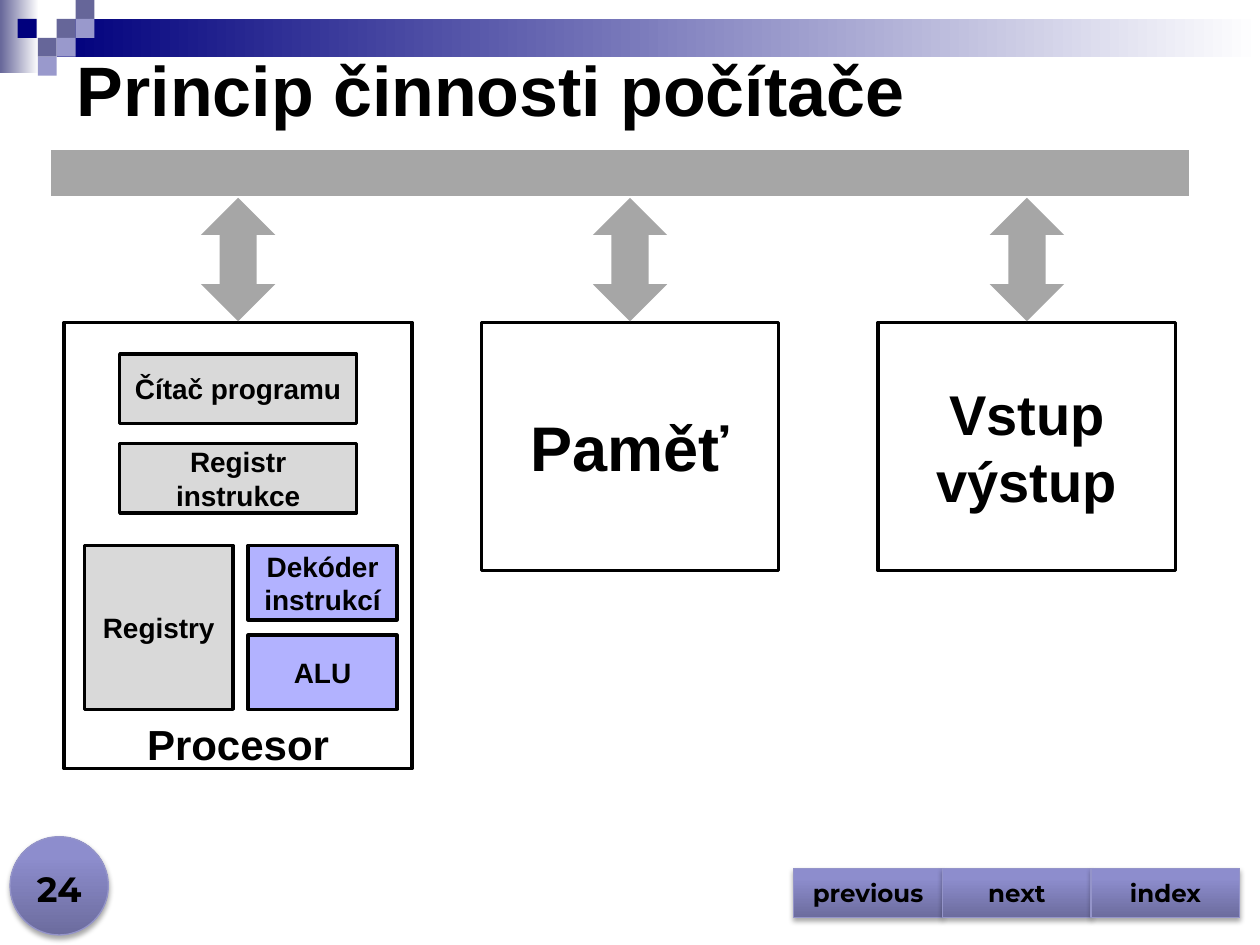
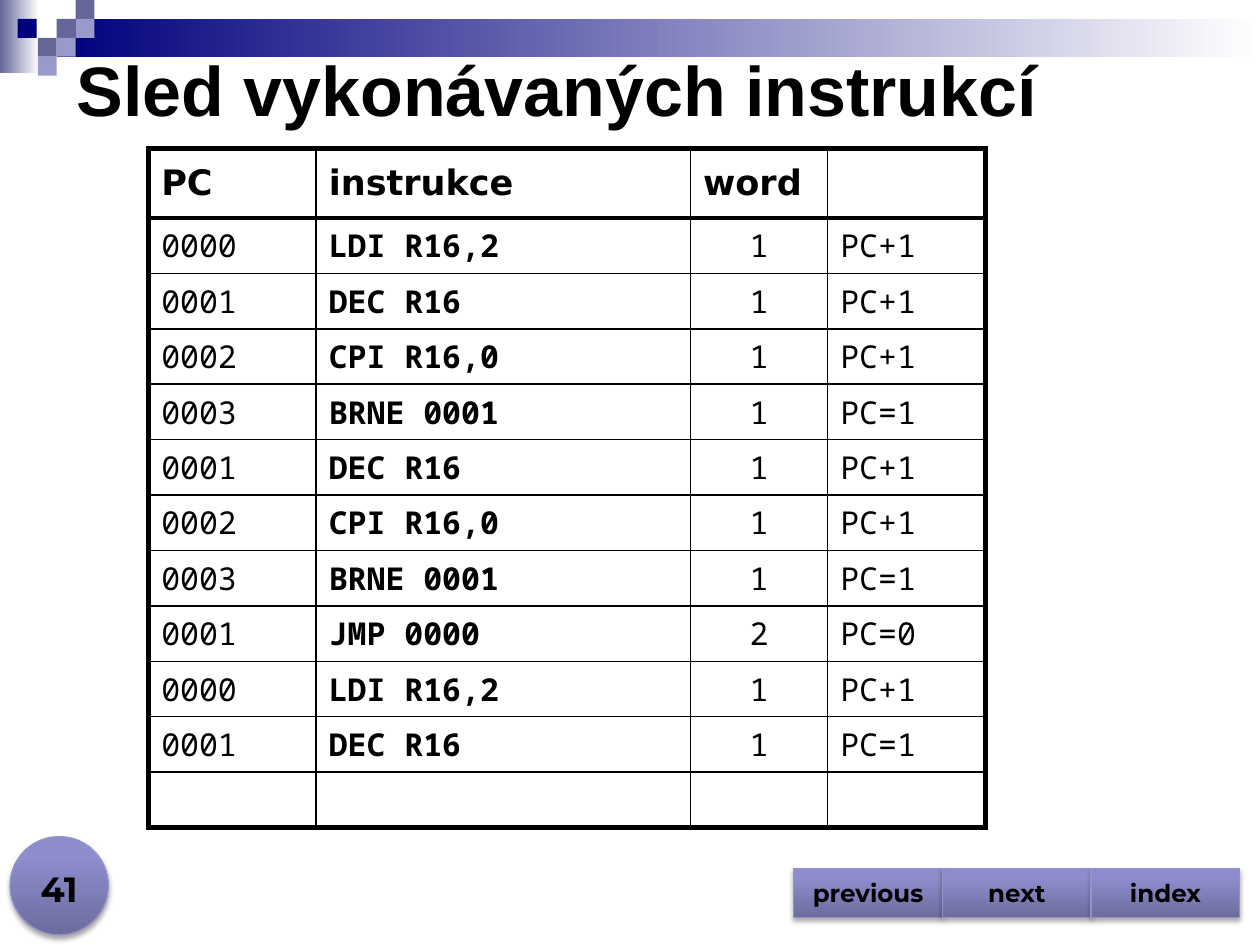
from pptx import Presentation
from pptx.dml.color import RGBColor
from pptx.enum.shapes import MSO_SHAPE
from pptx.enum.text import MSO_ANCHOR, MSO_AUTO_SIZE, PP_ALIGN
from pptx.oxml import parse_xml
from pptx.oxml.ns import nsdecls
from pptx.util import Inches, Pt

# ---- Content ----
BUS_TITLE, BUS_PAGE = "Princip činnosti počítače", "24"
TRACE_TITLE, TRACE_PAGE = "Sled vykonávaných instrukcí", "41"
BUTTONS = ["previous", "next", "index"]

# text, left, width, height, size, anchor
BLOCKS = [
    ("Procesor", 0.51, 2.76, 3.54, 24, MSO_ANCHOR.BOTTOM),
    ("Paměť", 3.82, 2.36, 1.97, 36, MSO_ANCHOR.MIDDLE),
    ("Vstup výstup", 6.97, 2.36, 1.97, 32, MSO_ANCHOR.MIDDLE),
]
STORAGE, LOGIC = "D9D9D9", "B2B2FF"
# text, left, top, width, height, fill
CPU_PARTS = [
    ("Čítač programu", 0.95, 2.81, 1.88, 0.55, STORAGE),
    ("Registr instrukce", 0.95, 3.52, 1.88, 0.55, STORAGE),
    ("Registry", 0.67, 4.33, 1.18, 1.3, STORAGE),
    ("Dekóder instrukcí", 1.97, 4.33, 1.18, 0.59, LOGIC),
    ("ALU", 1.97, 5.04, 1.18, 0.59, LOGIC),
]

TRACE = [
    ("PC", "instrukce", "word", ""),
    ("0000", "LDI R16,2", "1", "PC+1"),
    ("0001", "DEC R16", "1", "PC+1"),
    ("0002", "CPI R16,0", "1", "PC+1"),
    ("0003", "BRNE 0001", "1", "PC=1"),
    ("0001", "DEC R16", "1", "PC+1"),
    ("0002", "CPI R16,0", "1", "PC+1"),
    ("0003", "BRNE 0001", "1", "PC=1"),
    ("0001", "JMP 0000", "2", "PC=0"),
    ("0000", "LDI R16,2", "1", "PC+1"),
    ("0001", "DEC R16", "1", "PC=1"),
    ("", "", "", ""),
]
COL_WIDTHS = [1.33, 2.97, 1.09, 1.25]
HEADER_HEIGHT, ROW_HEIGHT = 0.55, 0.44

# ---- Shared look ----
BLACK, WHITE, GREY = "000000", "FFFFFF", "A6A6A6"
NAVY, SLATE, LILAC = "00007D", "666699", "9999CC"
GLOSS = [(0, "6C6C9E"), (80, "8D8DCD"), (100, "8C8CCF")]
GLOSS_LINE = "9494C9"
SQUARE = 0.15
# left, top, colour
SQUARES = [
    (0.45, 0.15, SLATE), (0.6, 0, SLATE), (0.6, 0.15, LILAC), (0.3, 0.3, SLATE),
    (0.14, 0.15, NAVY), (0.45, 0.3, LILAC), (0.3, 0.45, LILAC),
]


def rgb(code):
    return RGBColor.from_string(code)


def write(tf, text, size, font="Arial", bold=True, align=PP_ALIGN.CENTER,
          anchor=MSO_ANCHOR.MIDDLE):
    tf.vertical_anchor = anchor
    p = tf.paragraphs[0]
    p.alignment = align
    r = p.add_run()
    r.text = text
    r.font.size, r.font.name, r.font.bold = Pt(size), font, bold
    r.font.color.rgb = rgb(BLACK)


def add_box(s, kind, box, fill, line=None, width=2):
    """Preset shape; fill is a colour, or (gradient stops, angle)."""
    sp = s.shapes.add_shape(kind, *map(Inches, box))
    sp.shadow.inherit = False
    sp.fill.solid()
    if isinstance(fill, str):
        sp.fill.fore_color.rgb = rgb(fill)
    else:
        stops, angle = fill
        gs = "".join(f'<a:gs pos="{pos * 1000}"><a:srgbClr val="{c}"/></a:gs>'
                     for pos, c in stops)
        spPr = sp.element.spPr
        spPr.replace(spPr.find("{*}solidFill"), parse_xml(
            f'<a:gradFill {nsdecls("a")} rotWithShape="1"><a:gsLst>{gs}</a:gsLst>'
            f'<a:lin ang="{angle * 60000}" scaled="0"/></a:gradFill>'))
    if line:
        sp.line.color.rgb = rgb(line)
        sp.line.width = Pt(width)
    else:
        sp.line.fill.background()
    return sp


def add_glossy(s, kind, box):
    sp = add_box(s, kind, box, (GLOSS, 270), GLOSS_LINE, 0.75)
    sp.element.spPr.find("{*}effectLst").append(parse_xml(
        f'<a:outerShdw {nsdecls("a")} blurRad="{Pt(3.1)}" dist="{Pt(1.8)}" '
        'dir="5400000" rotWithShape="0"><a:srgbClr val="000000">'
        '<a:alpha val="35000"/></a:srgbClr></a:outerShdw>'))
    return sp


def add_slide(prs, title, page):
    s = prs.slides.add_slide(prs.slide_layouts[5])

    # Top band and squares
    add_box(s, MSO_SHAPE.RECTANGLE, (0, 0, 0.31, 0.58),
            ([(0, SLATE), (100, WHITE)], 0))
    add_box(s, MSO_SHAPE.RECTANGLE, (0.45, 0.15, 9.55, 0.3),
            ([(0, NAVY), (100, WHITE)], 0))
    for left, top, colour in SQUARES:
        add_box(s, MSO_SHAPE.RECTANGLE, (left, top, SQUARE, SQUARE), colour)

    # Title
    sp = s.shapes.title
    sp.left, sp.top, sp.width, sp.height = map(Inches, (0.51, 0.31, 9.1, 0.79))
    sp.text_frame.auto_size = MSO_AUTO_SIZE.NONE
    write(sp.text_frame, title, 40, align=PP_ALIGN.LEFT)

    # Page badge
    add_glossy(s, MSO_SHAPE.OVAL, (0.08, 6.64, 0.78, 0.78))
    tf = s.shapes.add_textbox(*map(Inches, (0, 6.77, 0.94, 0.5))).text_frame
    tf.word_wrap = True
    write(tf, page, 20, "Montserrat", anchor=MSO_ANCHOR.BOTTOM)

    # Navigation buttons
    for i, label in enumerate(BUTTONS):
        sp = add_glossy(s, MSO_SHAPE.ACTION_BUTTON_CUSTOM,
                        (6.3 + 1.18 * i, 6.89, 1.18, 0.39))
        write(sp.text_frame, label, 14, "Montserrat")
    return s


def build_bus(prs):
    s = add_slide(prs, BUS_TITLE, BUS_PAGE)
    bus_bottom, block_top, arrow_width = 1.57, 2.56, 0.59
    add_box(s, MSO_SHAPE.RECTANGLE, (0.39, 1.18, 9.06, 0.39), GREY, WHITE)

    # Blocks, each joined to the bus by a centred arrow
    for text, left, width, height, size, anchor in BLOCKS:
        sp = add_box(s, MSO_SHAPE.RECTANGLE, (left, block_top, width, height),
                     WHITE, BLACK)
        if anchor == MSO_ANCHOR.BOTTOM:
            sp.text_frame.margin_bottom = 0
        write(sp.text_frame, text, size, anchor=anchor)
        add_box(s, MSO_SHAPE.UP_DOWN_ARROW,
                (left + (width - arrow_width) / 2, bus_bottom, arrow_width, 0.98), GREY)

    # Inside the processor
    for text, *box, fill in CPU_PARTS:
        sp = add_box(s, MSO_SHAPE.RECTANGLE, box, fill, BLACK)
        write(sp.text_frame, text, 16)


def set_borders(cell, widths):
    tcPr = cell._tc.get_or_add_tcPr()
    for i, (side, width) in enumerate(zip("LRTB", widths)):
        tcPr.insert(i, parse_xml(
            f'<a:ln{side} {nsdecls("a")} w="{Pt(width)}"><a:solidFill>'
            f'<a:srgbClr val="{BLACK}"/></a:solidFill></a:ln{side}>'))


def build_trace(prs):
    s = add_slide(prs, TRACE_TITLE, TRACE_PAGE)
    heights = [HEADER_HEIGHT] + [ROW_HEIGHT] * (len(TRACE) - 1)
    box = (1.18, 1.18, sum(COL_WIDTHS), sum(heights))
    table = s.shapes.add_table(len(TRACE), len(COL_WIDTHS), *map(Inches, box)).table
    table.first_row = table.horz_banding = False
    for col, width in zip(table.columns, COL_WIDTHS):
        col.width = Inches(width)

    last_row, last_col = len(TRACE) - 1, len(COL_WIDTHS) - 1
    for i, values in enumerate(TRACE):
        table.rows[i].height = Inches(heights[i])
        for j, text in enumerate(values):
            cell = table.cell(i, j)
            cell.fill.solid()
            cell.fill.fore_color.rgb = rgb(WHITE)
            cell.vertical_anchor = MSO_ANCHOR.MIDDLE
            # Thick frame and header rule, thin lines elsewhere
            thick = (j == 0, j == last_col, i <= 1, i in (0, last_row))
            set_borders(cell, [3 if t else 1 for t in thick])
            if not text:
                continue
            p = cell.text_frame.paragraphs[0]
            p.alignment = PP_ALIGN.CENTER if i and j == 2 else PP_ALIGN.LEFT
            r = p.add_run()
            r.text = text
            r.font.name = "Noto Sans Mono" if i else "DejaVu Sans"
            r.font.size = Pt(18 if i else 20)
            r.font.bold = i == 0 or j == 1
            r.font.color.rgb = rgb(BLACK)


def main():
    prs = Presentation()
    prs.slide_width, prs.slide_height = Inches(10), Inches(7.5)
    build_bus(prs)
    build_trace(prs)
    prs.save("out.pptx")


if __name__ == "__main__":
    main()
